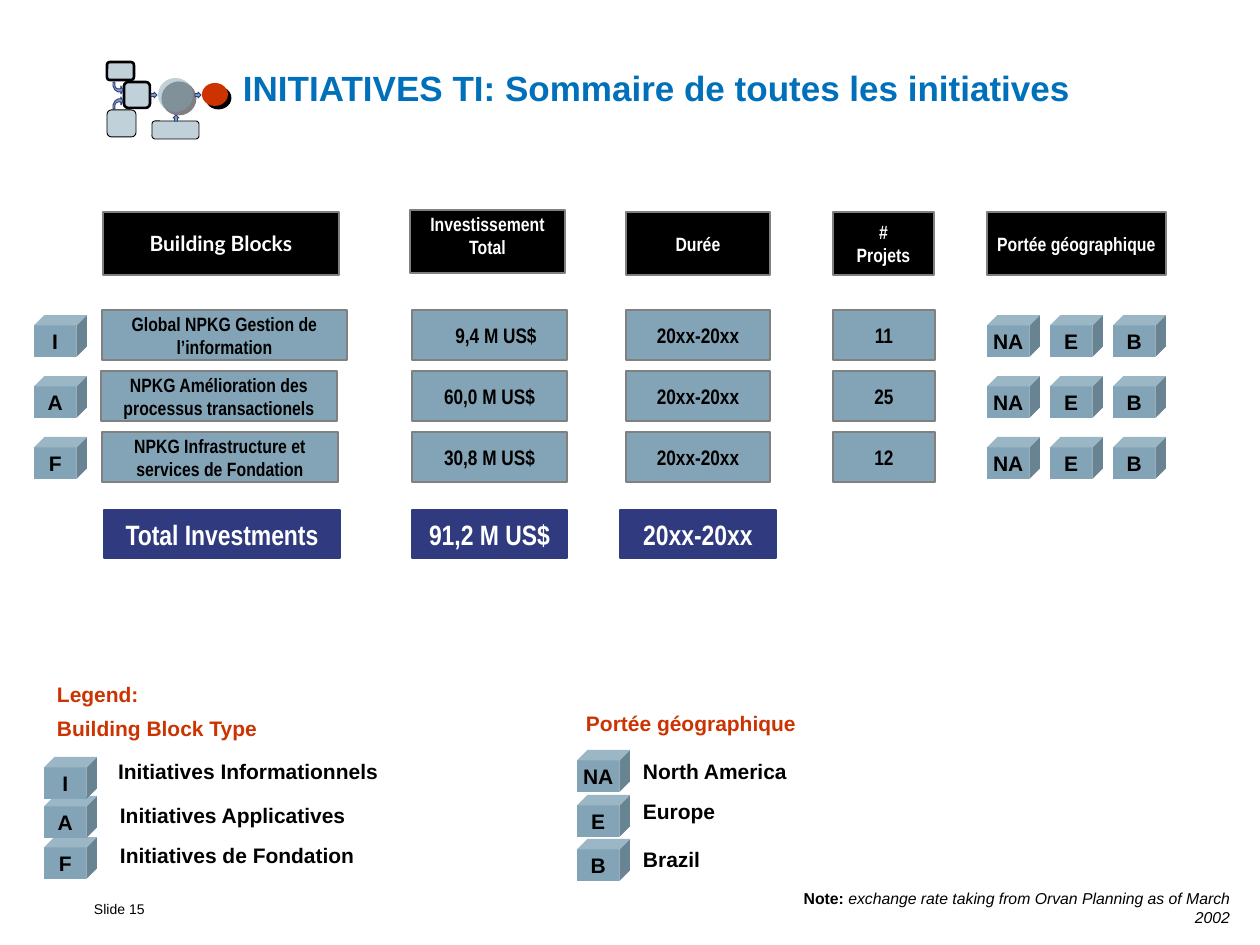
"""Build the summary slide of all IT initiatives."""
from lxml import etree
from pptx import Presentation
from pptx.dml.color import RGBColor
from pptx.enum.shapes import MSO_SHAPE
from pptx.enum.text import MSO_ANCHOR, PP_ALIGN
from pptx.oxml.ns import qn
from pptx.util import Pt

PX = 914400 / 126
RECT, CUBE, OVAL = MSO_SHAPE.RECTANGLE, MSO_SHAPE.CUBE, MSO_SHAPE.OVAL
ROUND, ARROW = MSO_SHAPE.ROUNDED_RECTANGLE, MSO_SHAPE.DOWN_ARROW
LEFT, CENTER, RIGHT = PP_ALIGN.LEFT, PP_ALIGN.CENTER, PP_ALIGN.RIGHT
TOP, MIDDLE = MSO_ANCHOR.TOP, MSO_ANCHOR.MIDDLE
STEEL, NAVY, RED, GRAY = "83A4B6", "2F3A7F", "CC3300", "808080"
BLACK, WHITE, BLUE = "000000", "FFFFFF", "0070BA"
NARROW = "Arial Narrow"
color = RGBColor.from_string

presentation = Presentation()
presentation.slide_width = round(1260 * PX)
presentation.slide_height = round(945 * PX)
slide = presentation.slides.add_slide(presentation.slide_layouts[6])


def add_box(kind, box, fill, line=None, width=1):
    position = [round(value * PX) for value in box]
    if kind is None:
        return slide.shapes.add_textbox(*position)
    shape = slide.shapes.add_shape(kind, *position)
    shape.shadow.inherit = False
    shape.fill.solid()
    shape.fill.fore_color.rgb = color(fill)
    if line:
        shape.line.color.rgb = color(line)
        shape.line.width = Pt(width)
    else:
        shape.line.fill.background()
    return shape


def write(shape, text, size, ink, font="Arial", align=CENTER, wrap=True,
          bold=True, spacing=1.0, margin=6, anchor=MIDDLE):
    frame = shape.text_frame
    frame.text = text
    frame.word_wrap = wrap
    frame.vertical_anchor = anchor
    frame.margin_left = round(margin * PX)
    frame.margin_right = round(6 * PX)
    frame.margin_top = frame.margin_bottom = round((2 if anchor == TOP else 6) * PX)
    for paragraph in frame.paragraphs:
        paragraph.alignment = align
        paragraph.line_spacing = spacing
        for run in paragraph.runs:
            run.font.size = Pt(size)
            run.font.name = font
            run.font.bold = bold
            run.font.color.rgb = color(ink)
    return frame


write(add_box(None, (94, 897, 66, 26), None), "Slide 15", 8, BLACK,
      align=LEFT, wrap=False, bold=False, spacing=0.85, margin=0)
write(add_box(None, (243, 47, 932, 81), None),
      "INITIATIVES TI: Sommaire de toutes les initiatives", 20, BLUE,
      align=LEFT, margin=0)

headers = [
    (103, 212, 236, "Building Blocks", 12, "Lato", MIDDLE),
    (410, 210, 155, "Investissement\nTotal", 11, NARROW, TOP),
    (626, 212, 144, "Durée", 11, NARROW, MIDDLE),
    (833, 212, 101, "#\nProjets", 11, NARROW, MIDDLE),
    (987, 212, 179, "Portée géographique", 11, NARROW, MIDDLE),
]
for left, top, width, text, size, font, anchor in headers:
    write(add_box(RECT, (left, top, width, 63), BLACK, GRAY), text, size, WHITE,
          font, anchor=anchor)

initiatives = [
    ("I", 102, 245, "Global NPKG Gestion de l’information", "9,4 M US$", "11", 19),
    ("A", 101, 236, "NPKG Amélioration des processus transactionels", "60,0 M US$", "25", 6),
    ("F", 102, 236, "NPKG Infrastructure et services de Fondation", "30,8 M US$", "12", 6),
]
cubes = []
for row, (letter, left, width, name, amount, projects, margin) in enumerate(initiatives):
    top = 310 + 61 * row
    cells = [
        (left, width, name, 11, 6),
        (412, 155, amount, 12, margin),
        (626, 144, "20xx-20xx", 12, 6),
        (833, 102, projects, 12, 6),
    ]
    for cell_left, cell_width, text, size, inset in cells:
        write(add_box(RECT, (cell_left, top, cell_width, 50), STEEL, GRAY), text, size,
              BLACK, NARROW, margin=inset)
    cubes.append((34, top + 5, letter))
    cubes += [(987 + 63 * index, top + 5, region)
              for index, region in enumerate(("NA", "E", "B"))]

totals = [
    (104, 236, "Total Investments"),
    (412, 155, "91,2 M US$"),
    (620, 156, "20xx-20xx"),
]
for left, width, text in totals:
    write(add_box(RECT, (left, 510, width, 48), NAVY, NAVY), text, 16, WHITE, NARROW)

cubes += [(44, 837, "F"), (44, 796, "A"), (44, 757, "I"),
          (577, 839, "B"), (577, 795, "E"), (577, 750, "NA")]
for left, top, letter in cubes:
    write(add_box(CUBE, (left, top, 53, 42), STEEL), letter, 12, BLACK, wrap=False)

legend = [
    (44, 679, 107, "Legend:", RED),
    (44, 713, 228, "Building Block Type", RED),
    (105, 756, 286, "Initiatives Informationnels", BLACK),
    (107, 800, 252, "Initiatives Applicatives", BLACK),
    (107, 840, 261, "Initiatives de Fondation", BLACK),
    (573, 708, 236, "Portée géographique", RED),
    (630, 756, 170, "North America", BLACK),
    (630, 796, 98, "Europe", BLACK),
    (630, 844, 82, "Brazil", BLACK),
]
for left, top, width, text, ink in legend:
    write(add_box(None, (left, top, width, 34), None), text, 12, ink,
          align=LEFT, wrap=False, spacing=0.85, margin=13)

diagram_nodes = [
    (ROUND, (107, 62, 27, 18), STEEL, BLACK, 1.5),
    (ROUND, (152, 121, 47, 18), STEEL, BLACK, 0.5),
    (OVAL, (158, 78, 35, 34), STEEL, None, 0),
    (ROUND, (124, 82, 26, 26), STEEL, BLACK, 1.5),
    (OVAL, (202, 83, 26, 23), RED, None, 0),
    (ROUND, (107, 110, 29, 27), STEEL, BLACK, 0.5),
]
for kind, box, fill, line, width in diagram_nodes:
    node = add_box(kind, box, fill, line, width)
    properties = node._element.spPr
    if fill == STEEL:
        tint = properties.find(qn("a:solidFill"))[0]
        etree.SubElement(tint, qn("a:alpha"), val="50000")
    if kind == OVAL:
        shadow = etree.SubElement(properties.find(qn("a:effectLst")), qn("a:outerShdw"),
                                  dist="35921", dir="2700000", algn="ctr", rotWithShape="0")
        etree.SubElement(shadow, qn("a:srgbClr"), val=BLACK)

for left, top, rotation in ((195, 92, 270), (151, 92, 270), (173, 115, 180)):
    arrow = add_box(ARROW, (left, top, 6, 6), STEEL, NAVY, 0.5)
    arrow.rotation = rotation

bent_arrow = [(123, 101), (121, 97), (121, 99), (118, 99), (115, 101), (113, 105), (113, 109),
              (115, 109), (115, 105), (116, 103), (118, 102), (121, 102), (121, 105)]
for points in (bent_arrow, [(x, 191 - y) for x, y in bent_arrow]):
    builder = slide.shapes.build_freeform(*points[0], scale=PX)
    builder.add_line_segments(points[1:], close=True)
    shape = builder.convert_to_shape()
    shape.shadow.inherit = False
    shape.fill.solid()
    shape.fill.fore_color.rgb = color(STEEL)
    shape.line.color.rgb = color(NAVY)
    shape.line.width = Pt(0.5)

note = write(add_box(None, (755, 892, 475, 32), None), "Note: ", 9, BLACK,
             align=RIGHT, wrap=False, margin=13)
note.margin_right = 0
remark = note.paragraphs[0].add_run()
remark.text = "exchange rate taking from Orvan Planning as of March 2002"
remark.font.size = Pt(9)
remark.font.name = "Arial"
remark.font.italic = True
remark.font.color.rgb = color(BLACK)

presentation.save("out.pptx")
